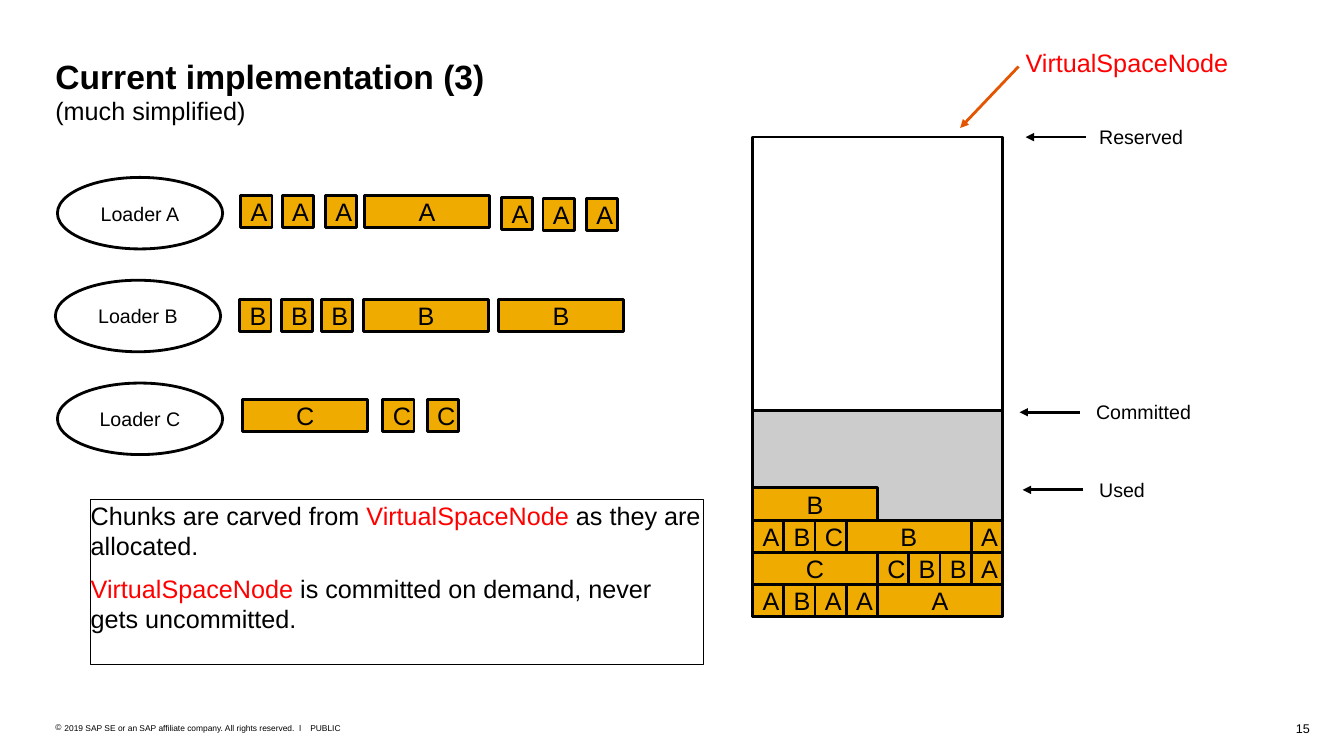
import pptx
import pptx.util
import pptx.dml.color
import pptx.enum.shapes
import pptx.enum.text
import pptx.oxml.ns
import lxml.etree

SHAPES = pptx.enum.shapes.MSO_SHAPE
ALIGN = pptx.enum.text.PP_ALIGN
ANCHOR = pptx.enum.text.MSO_ANCHOR
BLACK, RED, ORANGE = "000000", "FF0000", "E35500"
AMBER, GREY = "F0AB00", "CCCCCC"
UNIT, CHUNK_HEIGHT = 31, 32
NODE_LEFT, NODE_WIDTH = 747, 8 * UNIT

LOADERS = [("A", 57, 176), ("B", 55, 278), ("C", 57, 380)]
LOADER_CHUNKS = {
    "A": [(239, 194, 1), (280, 194, 1), (323, 194, 1), (362, 194, 4),
          (498, 196, 1), (539, 197, 1), (582, 197, 1)],
    "B": [(238, 297, 1), (279, 297, 1), (319, 297, 1), (361, 297, 4),
          (495, 297, 4)],
    "C": [(241, 396, 4), (380, 396, 1), (424, 396, 1)],
}
NODE_ROWS = [
    [("B", 4)],
    [("A", 1), ("B", 1), ("C", 1), ("B", 4), ("A", 1)],
    [("C", 4), ("C", 1), ("B", 1), ("B", 1), ("A", 1)],
    [("A", 1), ("B", 1), ("A", 1), ("A", 1), ("A", 4)],
]
MARKS = [("Reserved", 1078, 136, 1091), ("Committed", 1072, 409, 1088),
         ("Used", 1075, 486, 1091)]
NOTE = [
    [("Chunks are carved from ", BLACK), ("VirtualSpaceNode", RED),
     (" as they are allocated.", BLACK)],
    [("VirtualSpaceNode", RED),
     (" is committed on demand, never gets uncommitted.", BLACK)],
]


def px(value):
    return pptx.util.Emu(value * 9144)


def color(value):
    return pptx.dml.color.RGBColor.from_string(value)


def style(font, size, shade=BLACK, bold=False):
    font.name = "Arial"
    font.size = pptx.util.Pt(size)
    font.bold = bold
    font.color.rgb = color(shade)


def set_margins(frame, side, top):
    frame.margin_left = frame.margin_right = px(side)
    frame.margin_top = frame.margin_bottom = px(top)


def add_text(page, left, top, width, height, text, size, shade=BLACK,
             align=ALIGN.LEFT):
    box = page.shapes.add_textbox(px(left), px(top), px(width), px(height))
    frame = box.text_frame
    frame.word_wrap = True
    set_margins(frame, 0, 0)
    frame.text = text
    for para in frame.paragraphs:
        para.alignment = align
        for span in para.runs:
            style(span.font, size, shade)
    return box


def add_outline(page, kind, left, top, width, height, fill=None, weight=2):
    shape = page.shapes.add_shape(kind, px(left), px(top), px(width), px(height))
    shape.shadow.inherit = False
    if fill:
        shape.fill.solid()
        shape.fill.fore_color.rgb = color(fill)
    else:
        shape.fill.background()
    shape.line.color.rgb = color(BLACK)
    shape.line.width = pptx.util.Pt(weight)
    return shape


def add_labelled(page, kind, left, top, width, height, text, size, fill=None):
    frame = add_outline(page, kind, left, top, width, height, fill).text_frame
    frame.word_wrap = True
    frame.vertical_anchor = ANCHOR.MIDDLE
    set_margins(frame, 10, 8)
    frame.text = text
    para = frame.paragraphs[0]
    para.alignment = ALIGN.CENTER
    style(para.runs[0].font, size)


def add_chunk(page, left, top, units, letter):
    add_labelled(page, SHAPES.RECTANGLE, left, top, units * UNIT, CHUNK_HEIGHT,
                 letter, 18, AMBER)


def add_arrow(page, start, end, shade=BLACK):
    arrow = page.shapes.add_connector(
        pptx.enum.shapes.MSO_CONNECTOR.STRAIGHT,
        px(start[0]), px(start[1]), px(end[0]), px(end[1]))
    arrow.line.color.rgb = color(shade)
    arrow.line.width = pptx.util.Pt(2)
    qn = pptx.oxml.ns.qn
    lxml.etree.SubElement(arrow.line._get_or_add_ln(), qn("a:tailEnd"), type="triangle")
    lxml.etree.SubElement(arrow._element.spPr, qn("a:effectLst"))


def add_title(page):
    box = add_text(page, 55, 55, 600, 71,
                   "Current implementation (3)\n(much simplified)", 18)
    style(box.text_frame.paragraphs[0].runs[0].font, 24, bold=True)


def add_footer(page):
    add_text(page, 1242, 715, 58, 15, "15", 9, align=ALIGN.RIGHT)
    add_text(page, 308, 717, 60, 10, "PUBLIC", 6)
    notice = add_text(page, 55, 717, 248, 10,
                      "2019 SAP SE or an SAP affiliate company. All rights reserved.  ǀ", 6)
    properties = notice.text_frame.paragraphs[0]._p.get_or_add_pPr()
    properties.set("marL", str(px(9)))
    properties.set("indent", str(px(-9)))
    qn = pptx.oxml.ns.qn
    lxml.etree.SubElement(properties, qn("a:buFont"), typeface="Arial")
    lxml.etree.SubElement(properties, qn("a:buChar"), char="©")


def add_loaders(page):
    for letter, left, top in LOADERS:
        add_labelled(page, SHAPES.OVAL, left, top, 164, 71, f"Loader {letter}", 14)
        for chunk_left, chunk_top, units in LOADER_CHUNKS[letter]:
            add_chunk(page, chunk_left, chunk_top, units, letter)


def add_node(page):
    add_outline(page, SHAPES.RECTANGLE, NODE_LEFT, 136, NODE_WIDTH, 476)
    add_outline(page, SHAPES.RECTANGLE, NODE_LEFT, 407, NODE_WIDTH, 205, GREY)
    for row, chunks in enumerate(NODE_ROWS):
        left = NODE_LEFT
        for letter, units in chunks:
            add_chunk(page, left, 484 + row * CHUNK_HEIGHT, units, letter)
            left += units * UNIT
    for text, start, middle, left in MARKS:
        add_arrow(page, (start, middle), (start - 60, middle))
        add_text(page, left, middle - 12, 130, 23, text, 14)
    add_arrow(page, (1011, 66), (953, 127), ORANGE)
    add_text(page, 1018, 47, 243, 30, "VirtualSpaceNode", 18, RED)


def add_note(page):
    box = add_outline(page, SHAPES.RECTANGLE, 90, 496, 608, 163, weight=0)
    frame = box.text_frame
    frame.word_wrap = True
    frame.vertical_anchor = ANCHOR.TOP
    set_margins(frame, 0, 0)
    frame.text = "\n".join("".join(text for text, _ in spans) for spans in NOTE)
    for para, spans in zip(frame.paragraphs, NOTE):
        para.text = ""
        para.alignment = ALIGN.LEFT
        for text, shade in spans:
            span = para.add_run()
            span.text = text
            style(span.font, 18, shade)
    frame.paragraphs[1].space_before = pptx.util.Pt(9)


def main():
    deck = pptx.Presentation()
    deck.slide_width, deck.slide_height = px(1334), px(750)
    page = deck.slides.add_slide(deck.slide_layouts[6])
    add_footer(page)
    add_title(page)
    add_node(page)
    add_loaders(page)
    add_note(page)
    deck.save("out.pptx")


if __name__ == "__main__":
    main()
